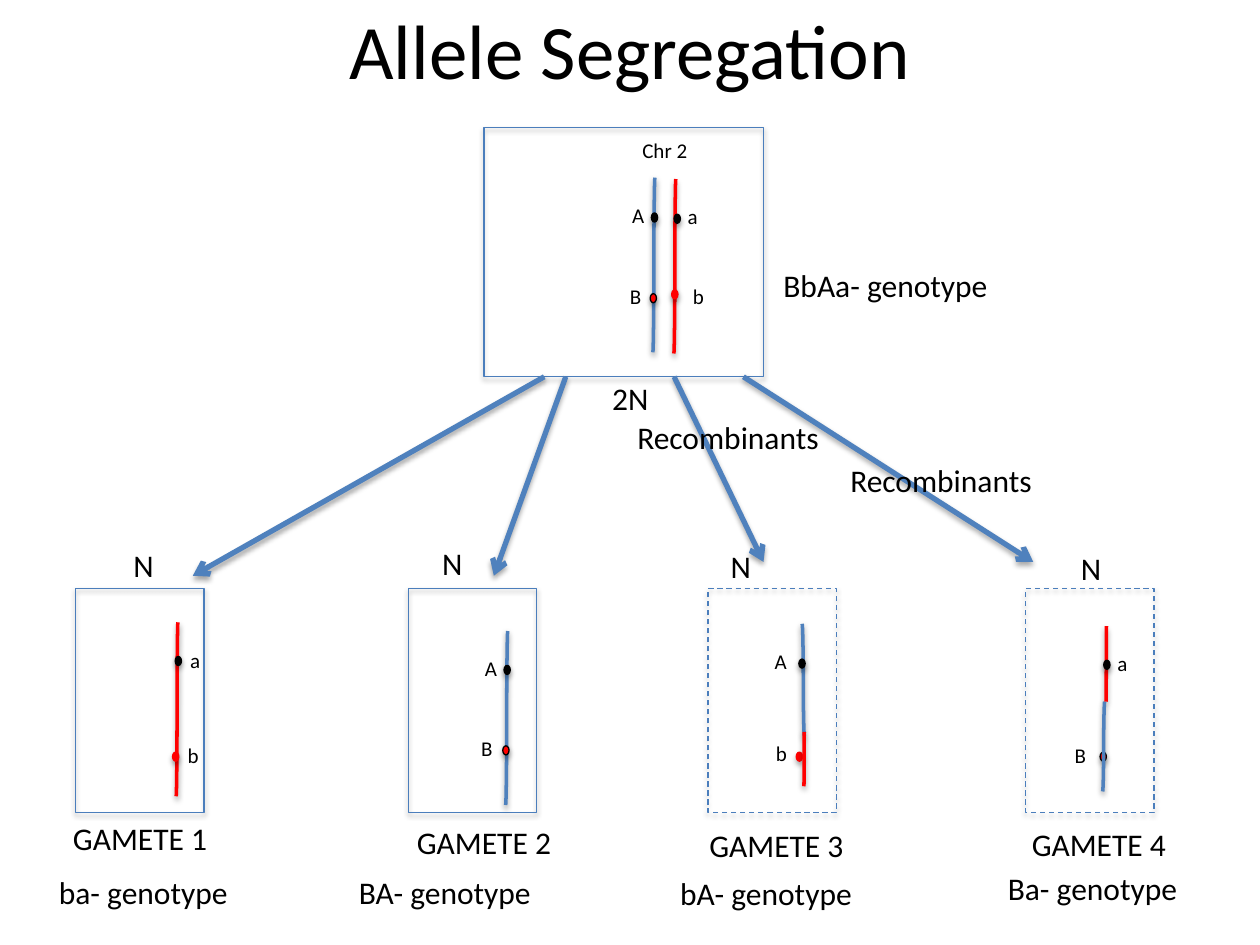
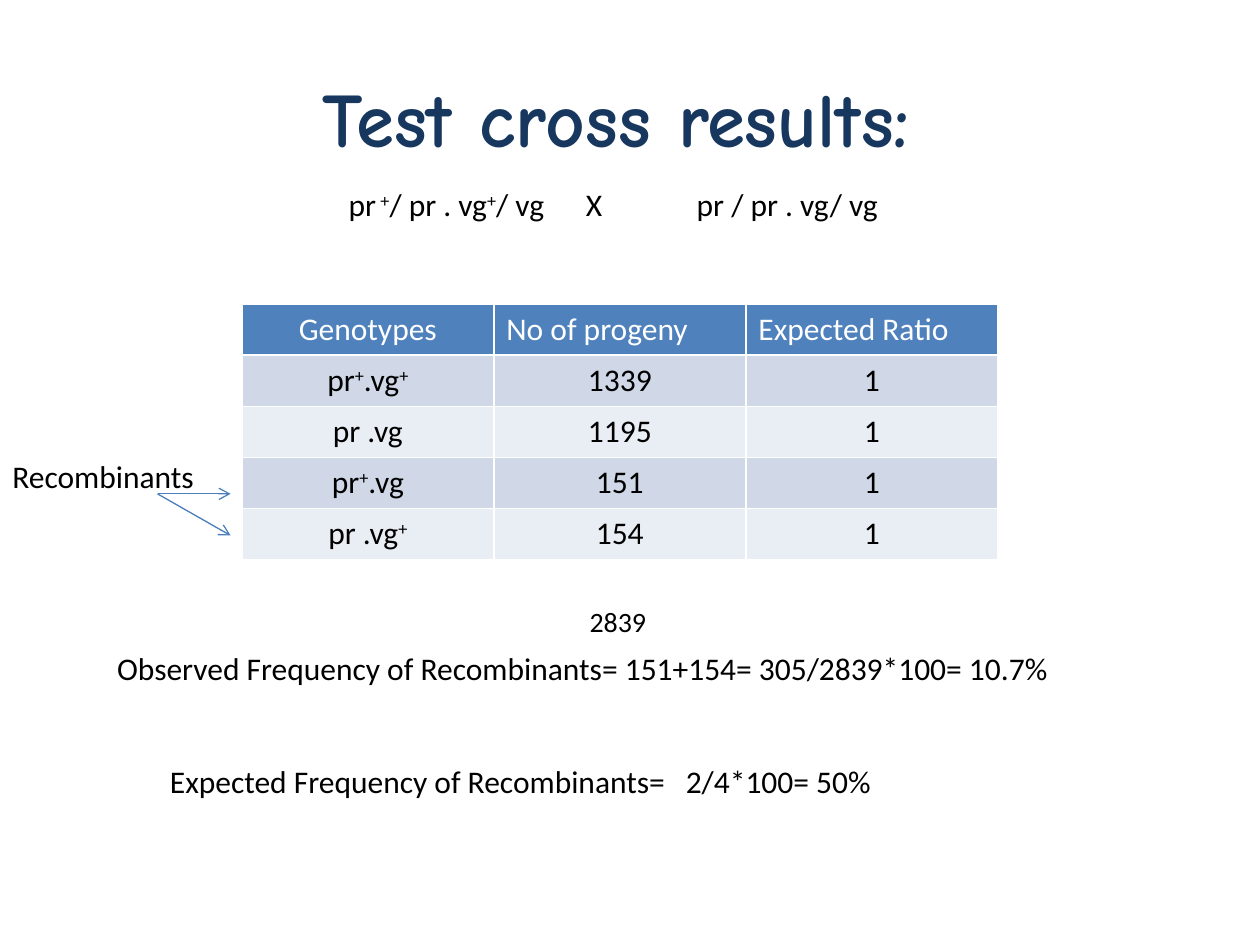
"""Build two genetics slides: allele segregation and test cross results."""
import pptx
import pptx.util
import pptx.dml.color
import pptx.enum.dml
import pptx.enum.shapes
import pptx.enum.text
import pptx.oxml.ns
from lxml import etree

Pt = pptx.util.Pt
RGB = pptx.dml.color.RGBColor.from_string
qn = pptx.oxml.ns.qn
KIND = pptx.enum.shapes.MSO_CONNECTOR
FORM = pptx.enum.shapes.MSO_SHAPE
ALIGN = pptx.enum.text.PP_ALIGN
MID = pptx.enum.text.MSO_ANCHOR.MIDDLE

HUES = {
    "black": "000000", "white": "FFFFFF", "red": "FF0000", "blue": "4F81BD",
    "edge": "4B7EBC", "navy": "17375E", "dark": "D0D8E8", "light": "E9EDF4",
}


def write(frame, text, size=18, hue="black", font="Calibri", bold=False, align=None, tab=None):
    """Add text to a frame; parts between carets are raised."""
    para = frame.paragraphs[0]
    para.alignment = align
    if tab:
        stops = etree.SubElement(para._p.get_or_add_pPr(), qn("a:tabLst"))
        etree.SubElement(stops, qn("a:tab"), pos=str(Pt(tab)), algn="l")
    for num, part in enumerate(text.split("^")):
        if part:
            run = para.add_run()
            run.text = part
            run.font.size = Pt(size)
            run.font.name = font
            run.font.bold = bold
            run.font.color.rgb = RGB(HUES[hue])
            if num % 2:
                run._r.get_or_add_rPr().set("baseline", "30000")


def link(slide, kind, ends, hue, width, arrow=False):
    """Draw a connector, with an arrowhead if asked."""
    line = slide.shapes.add_connector(kind, *map(Pt, ends))
    line.line.color.rgb = RGB(HUES[hue])
    line.line.width = Pt(width)
    if arrow:
        etree.SubElement(line.line._get_or_add_ln(), qn("a:tailEnd"), type="arrow")
    etree.SubElement(line._element.spPr, qn("a:effectLst"))


deck = pptx.Presentation()
deck.slide_width, deck.slide_height = Pt(720), Pt(540)
blank = deck.slide_layouts[6]
split = deck.slides.add_slide(blank)
cross = deck.slides.add_slide(blank)

cells = [(276.5, 72.7, 159.8, 142.6, False)]
cells += [(x, 336.2, 73.4, 128.2, dash) for x, dash in
          [(43.2, False), (233.3, False), (404.6, True), (586.1, True)]]
for *place, dash in cells:
    cell = split.shapes.add_shape(FORM.RECTANGLE, *map(Pt, place))
    cell.fill.background()
    cell.line.color.rgb = RGB(HUES["edge"])
    cell.line.width = Pt(0.75)
    if dash:
        cell.line.dash_style = pptx.enum.dml.MSO_LINE.DASH
    cell.shadow.inherit = False

for ends in [(311, 215.3, 110.2, 329), (323.3, 215.3, 282.2, 329),
             (385.2, 215.3, 436.3, 321.1), (424.8, 215.3, 590.4, 321.1)]:
    link(split, KIND.STRAIGHT, ends, "blue", 3, True)

for hue, *ends in [
    ("blue", 374.3, 101.5, 373.1, 201.3), ("red", 386.2, 102.3, 385.1, 202),
    ("red", 101.7, 355.6, 100.7, 455), ("blue", 290.2, 360.6, 289, 460),
    ("blue", 458.4, 356.5, 459.7, 420.5), ("red", 632.3, 357.8, 632, 401),
]:
    link(split, KIND.CURVE, ends, hue, 2)

loci = [
    ("A", 372.2, 121.7, 354.2, 112.3), ("a", 385.2, 122.4, 385.9, 113),
    ("B", 371.5, 167.8, 352.8, 158.4), ("b", 383.8, 165.6, 388.8, 158.4),
    ("a", 100.1, 375.1, 101.5, 366.5), ("b", 98.6, 429.8, 100.1, 420.5),
    ("A", 288, 380.2, 270, 370.8), ("B", 287.3, 426.2, 267.8, 416.9),
    ("A", 456.5, 376.6, 435.6, 367.2), ("b", 455, 429.8, 436.3, 419.8),
    ("a", 630.7, 377.3, 631.4, 367.9), ("B", 628.6, 429.8, 607, 420.5),
]
for gene, x, y, *spot in loci:
    dot = split.shapes.add_shape(FORM.OVAL, Pt(x), Pt(y), Pt(3.6), Pt(5.2))
    dot.fill.solid()
    dot.fill.fore_color.rgb = RGB(HUES["black" if gene in "Aa" else "red"])
    dot.line.color.rgb = RGB(HUES["red" if gene == "b" else "black"])
    dot.line.width = Pt(0.75)
    dot.shadow.inherit = False

for hue, *ends in [("red", 459.6, 418.3, 459.4, 449.3), ("blue", 631.3, 401, 630.1, 452.3)]:
    link(split, KIND.CURVE, ends, hue, 2)

for glow in split.shapes._spTree.iter(qn("a:effectLst")):
    cast = etree.SubElement(glow, qn("a:outerShdw"), blurRad=str(Pt(3.1)),
                            dist=str(Pt(1.8)), dir="5400000", rotWithShape="0")
    tint = etree.SubElement(cast, qn("a:srgbClr"), val=HUES["black"])
    etree.SubElement(tint, qn("a:alpha"), val="35000")

rows = [
    ("Genotypes", "No of progeny", "Expected Ratio"),
    ("pr^+^.vg^+", "1339", "1"),
    ("pr .vg", "1195", "1"),
    ("pr^+^.vg", "151", "1"),
    ("pr .vg^+", "154", "1"),
]
grid = cross.shapes.add_table(5, 3, Pt(138.2), Pt(173.8), Pt(432), Pt(146)).table
for r, row in enumerate(rows):
    grid.rows[r].height = Pt(29.2)
    for c, text in enumerate(row):
        cell = grid.cell(r, c)
        cell.fill.solid()
        cell.fill.fore_color.rgb = RGB(HUES["blue" if r == 0 else "dark" if r % 2 else "light"])
        write(cell.text_frame, text, hue="black" if r else "white",
              align=ALIGN.CENTER if r or c == 0 else ALIGN.LEFT)

for end in (282.2, 306):
    link(cross, KIND.STRAIGHT, (90, 282.2, 131.8, end), "edge", 0.75, True)

head = {"size": 44, "align": ALIGN.CENTER}
small = {"size": 12}
notes = [
    (split, 36, -17.3, 648, 90, "Allele Segregation", head),
    (split, 360, 74.9, 76.3, 21.8, "Chr 2", small),
    (split, 342.7, 213.1, 57, 29, "2N", {}),
    (split, 440.6, 148.3, 153.4, 29, "BbAa- genotype", {}),
    (split, 478.8, 259.9, 122.4, 29, "Recombinants", {}),
    (split, 357.1, 235.4, 122.4, 29, "Recombinants", {}),
    (cross, 36, 21.6, 648, 90, "Test cross results: ",
     {**head, "hue": "navy", "font": "Comic Neue", "bold": True}),
    (cross, 329.8, 342, 66.2, 26.6, "2839", {"size": 16}),
    (cross, 192.2, 102.2, 180.7, 29, "pr^ +^/ pr . vg^+^/ vg\tX", {"tab": 135.5}),
    (cross, 391, 102.2, 128.9, 29, "pr / pr . vg/ vg", {}),
    (cross, 0, 257.8, 144, 29, "Recombinants", {}),
    (cross, 59.8, 367.2, 617.8, 29,
     "Observed Frequency of Recombinants= 151+154= 305/2839*100= 10.7%", {}),
    (cross, 90, 432, 581.8, 29,
     "Expected Frequency of Recombinants=\t2/4*100= 50%", {"tab": 294.8}),
]
notes += [(split, x, y, 23, 21.8, gene, small) for gene, _, _, x, y in loci]
sorts = [
    ("ba", (69.1, 308.2), (34.6, 464.4), (26.6, 495.4)),
    ("BA", (245.5, 307.4), (231.1, 466.6), (198, 495.4)),
    ("bA", (410.4, 308.9), (398.2, 468.7), (381.6, 496.1)),
    ("Ba", (610.6, 310.3), (582.5, 468), (568.8, 493.2)),
]
for num, (genes, top, name, base) in enumerate(sorts, 1):
    notes += [
        (split, *top, 57, 29, "N", {}),
        (split, *name, 145.4, 29, f"GAMETE {num}", {}),
        (split, *base, 153.4, 29, f"{genes}- genotype", {}),
    ]
for slide, x, y, w, h, text, style in notes:
    frame = slide.shapes.add_textbox(Pt(x), Pt(y), Pt(w), Pt(h)).text_frame
    frame.word_wrap = True
    if style.get("size") == 44:
        frame.vertical_anchor = MID
    write(frame, text, **style)

deck.save("out.pptx")
